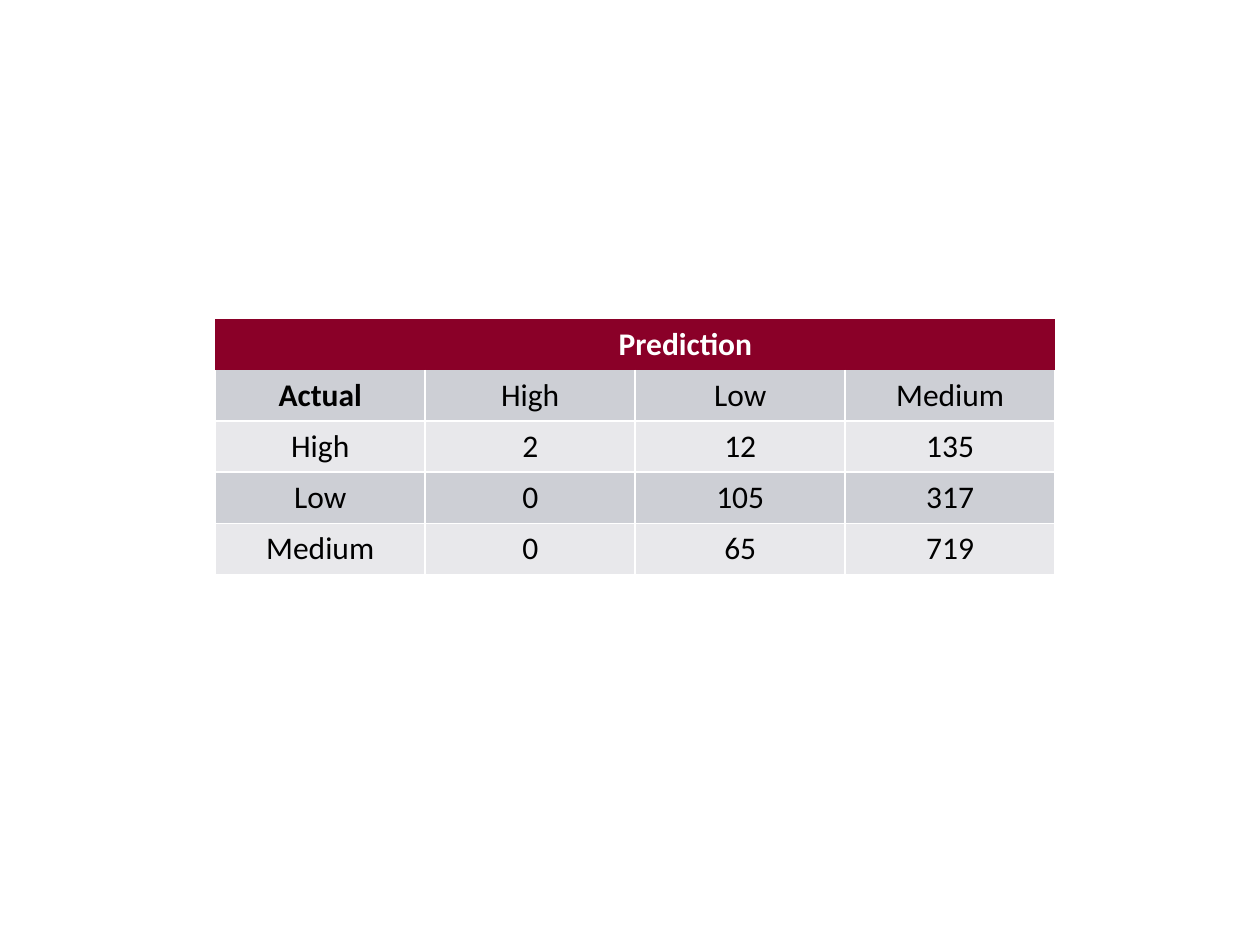
from lxml import etree
from pptx import Presentation
from pptx.dml.color import RGBColor
from pptx.enum import text
from pptx.oxml import ns
from pptx.util import Pt

HUES = {"head": "8A0028", "dark": "CDCFD5", "light": "E8E8EB",
        "white": "FFFFFF", "black": "000000"}
PLAIN = "{2D5ABB26-0587-4C30-8999-92F81FD0307C}"
ROWS = [
    ["Actual", "High", "Low", "Medium"],
    ["High", "2", "12", "135"],
    ["Low", "0", "105", "317"],
    ["Medium", "0", "65", "719"],
]


def tint(name):
    """Return the named colour."""
    return RGBColor.from_string(HUES[name])


def edge(cell, sides):
    """Draw thin white borders on the given sides of a cell."""
    props = cell._tc.get_or_add_tcPr()
    for side in sides:
        line = etree.SubElement(props, ns.qn(f"a:ln{side}"), w=str(Pt(1)))
        fill = etree.SubElement(line, ns.qn("a:solidFill"))
        etree.SubElement(fill, ns.qn("a:srgbClr"), val=HUES["white"])


def write(cell, words, fill, ink="black", bold=False, align=text.PP_ALIGN.CENTER):
    """Fill a cell, write its text and return the paragraph."""
    cell.fill.solid()
    cell.fill.fore_color.rgb = tint(fill)
    para = cell.text_frame.paragraphs[0]
    para.alignment = align
    run = para.add_run()
    run.text = words
    run.font.name = "Calibri"
    run.font.size = Pt(18)
    run.font.bold = bold
    run.font.color.rgb = tint(ink)
    return para


def matrix(slide):
    """Add the confusion matrix with its merged heading."""
    count = len(ROWS) + 1
    frame = slide.shapes.add_table(count, 4, Pt(123), Pt(182.2), Pt(480), Pt(29.2 * count))
    table = frame.table
    table._tbl.tblPr.find(ns.qn("a:tableStyleId")).text = PLAIN
    head = table.cell(0, 0)
    head.merge(table.cell(0, 3))
    para = write(head, "Prediction", "head", "white", True, text.PP_ALIGN.LEFT)
    props = para._p.get_or_add_pPr()
    props.set("marL", str(Pt(223.3)))
    props.set("indent", "0")
    for r, row in enumerate(ROWS, 1):
        for c, words in enumerate(row):
            cell = table.cell(r, c)
            edge(cell, "LRB")
            write(cell, words, "dark" if r % 2 else "light", bold=words == "Actual")


def main():
    """Build and save the slide."""
    deck = Presentation()
    deck.slide_width, deck.slide_height = Pt(720), Pt(540)
    matrix(deck.slides.add_slide(deck.slide_layouts[6]))
    deck.save("out.pptx")


if __name__ == "__main__":
    main()
